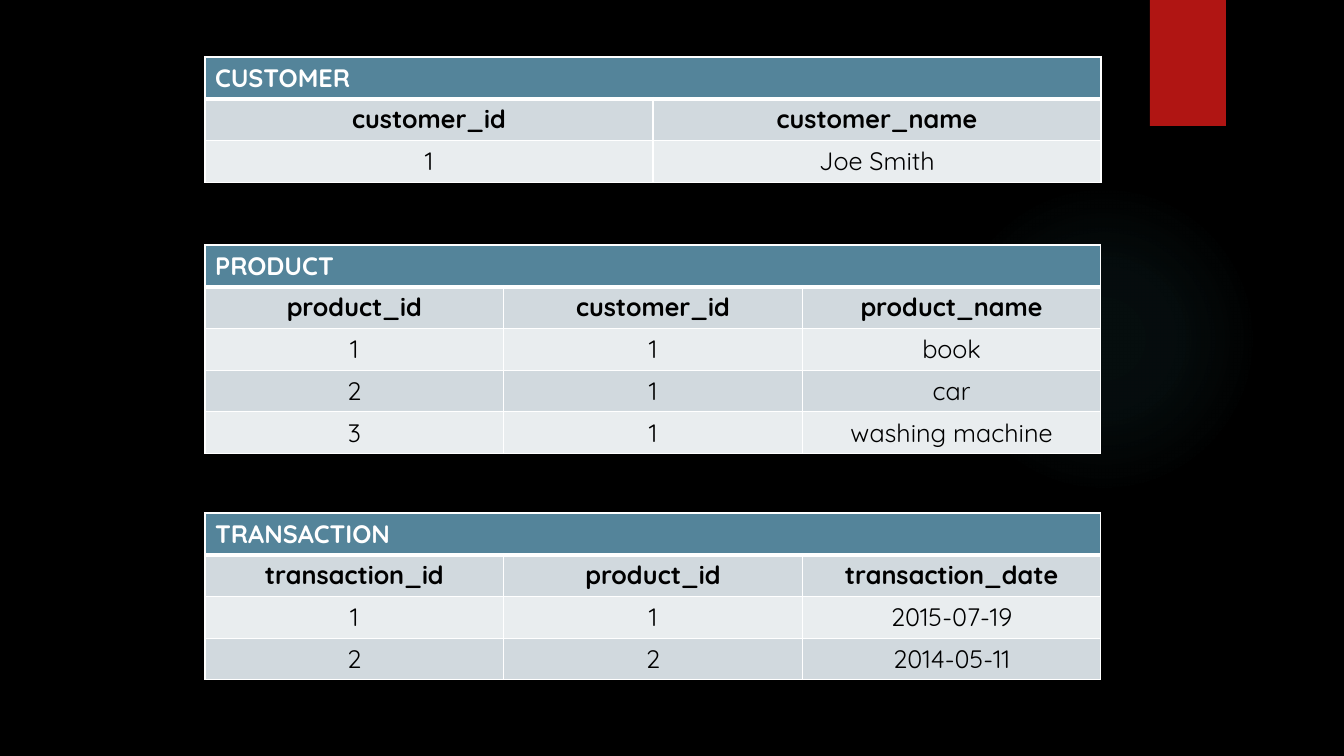
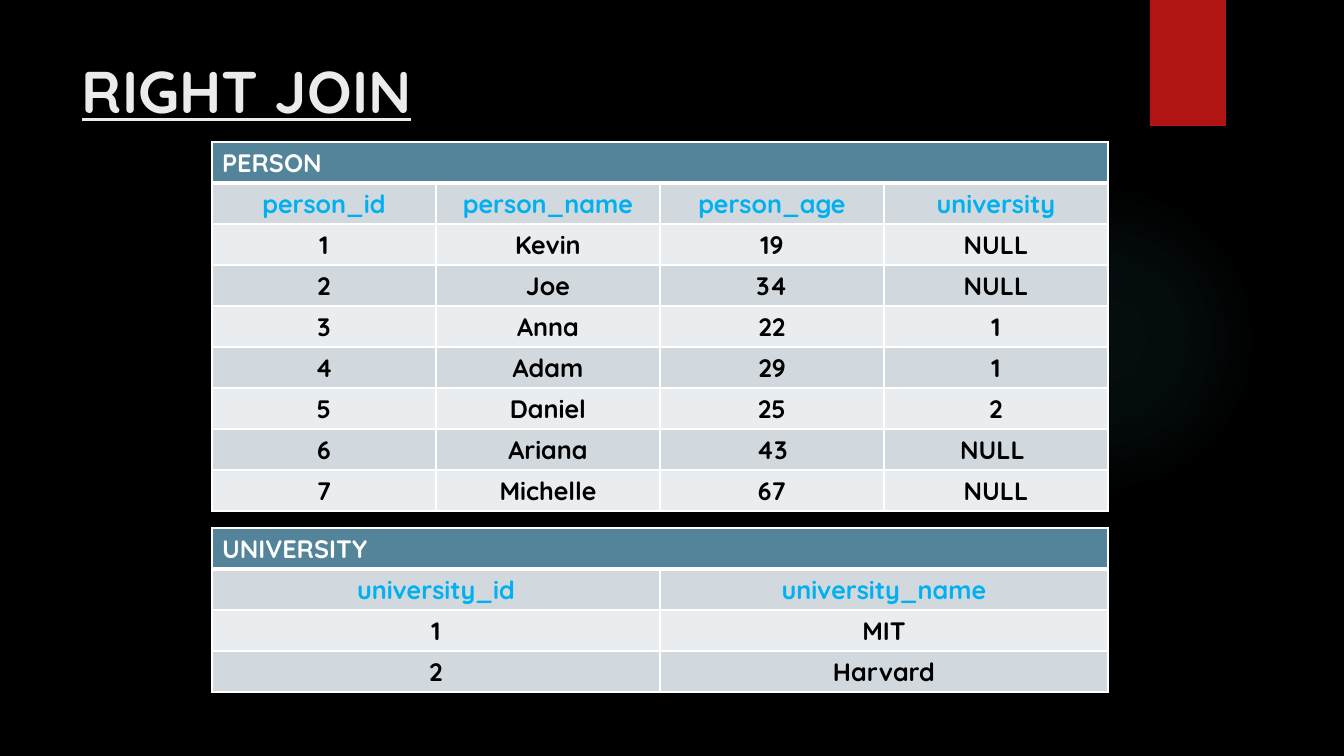
from lxml.etree import SubElement
from pptx import Presentation
from pptx.dml.color import RGBColor
from pptx.enum.shapes import MSO_SHAPE
from pptx.enum.text import MSO_ANCHOR, PP_ALIGN
from pptx.oxml import parse_xml
from pptx.oxml.ns import nsdecls, qn
from pptx.util import Pt

SLIDE_WIDTH, SLIDE_HEIGHT = 1344, 756
SCALE = 12192000 / SLIDE_WIDTH
FONT = "Quicksand"
BLACK, WHITE = "000000", "FFFFFF"
TITLE_COLOR = "EBEBEB"
RIBBON_RED = "B01513"
GLOW_TEAL = "50B9C1"
HEADER_BLUE = "54849A"
BANDS = ("D1D9DE", "E9EDEF")
COLUMN_CYAN = "00B0F0"
TABLE_WIDTH, ROW_HEIGHT = 896, 41


def px(length):
    return round(length * SCALE)


def color(value):
    return RGBColor.from_string(value)


def place(left, top, width, height):
    return px(left), px(top), px(width), px(height)


def style_font(para, size, value, bold=True):
    font = para.font
    font.name, font.size, font.bold = FONT, Pt(size), bold
    font.color.rgb = color(value)


def add_glow(page, left, top, size):
    glow = page.shapes.add_shape(MSO_SHAPE.OVAL, *place(left, top, size, size))
    glow.shadow.inherit = False
    glow.line.fill.background()
    glow.fill.background()
    stops = "".join(
        f'<a:gs pos="{position * 1000}"><a:srgbClr val="{GLOW_TEAL}">'
        f'<a:alpha val="{alpha * 1000}"/></a:srgbClr></a:gs>'
        for position, alpha in ((0, 7), (36, 6), (69, 0))
    )
    gradient = parse_xml(
        f'<a:gradFill {nsdecls("a")}><a:gsLst>{stops}</a:gsLst><a:path path="circle">'
        '<a:fillToRect l="50000" t="50000" r="50000" b="50000"/></a:path></a:gradFill>'
    )
    properties = glow._element.spPr
    properties.replace(properties.find(qn("a:noFill")), gradient)


def add_ribbon(page, left, top, width, height):
    ribbon = page.shapes.add_shape(MSO_SHAPE.RECTANGLE, *place(left, top, width, height))
    ribbon.shadow.inherit = False
    ribbon.fill.solid()
    ribbon.fill.fore_color.rgb = color(RIBBON_RED)
    ribbon.line.fill.background()
    effects = ribbon._element.spPr.find(qn("a:effectLst"))
    effects.append(parse_xml(
        f'<a:outerShdw {nsdecls("a")} blurRad="{Pt(3)}" dist="{Pt(2)}" dir="5400000" '
        f'rotWithShape="0"><a:srgbClr val="{BLACK}"><a:alpha val="45000"/></a:srgbClr></a:outerShdw>'
    ))


def add_page(deck):
    page = deck.slides.add_slide(deck.slide_layouts[6])
    page.background.fill.solid()
    page.background.fill.fore_color.rgb = color(BLACK)
    add_glow(page, 949, 184, 310)
    add_ribbon(page, 1150, 0, 76, 126)
    return page


def add_title(page, text, left, top, width, height):
    box = page.shapes.add_textbox(*place(left, top, width, height))
    box.text_frame.word_wrap = True
    box.text_frame.vertical_anchor = MSO_ANCHOR.TOP
    para = box.text_frame.paragraphs[0]
    para.text = text
    style_font(para, 42, TITLE_COLOR)
    para.font.underline = True


def set_borders(cell, top, bottom):
    properties = cell._tc.get_or_add_tcPr()
    for side, width in (("L", 1), ("R", 1), ("T", top), ("B", bottom)):
        line = SubElement(properties, qn(f"a:ln{side}"), w=str(Pt(width)))
        fill = SubElement(line, qn("a:solidFill"))
        SubElement(fill, qn("a:srgbClr"), val=WHITE)


def fill_cell(cell, text, row, text_color, bold):
    set_borders(cell, 3 if row == 1 else 1, 3 if row == 0 else 1)
    cell.fill.solid()
    cell.fill.fore_color.rgb = color(BANDS[(row - 1) % 2] if row else HEADER_BLUE)
    para = cell.text_frame.paragraphs[0]
    para.text = text
    para.alignment = PP_ALIGN.CENTER if row else PP_ALIGN.LEFT
    style_font(para, 18, text_color, bold)


def add_entity(page, left, top, name, columns, records, column_color=BLACK, bold_records=False):
    count = len(columns)
    rows = [[name] + [""] * (count - 1), columns, *records]
    frame = page.shapes.add_table(
        len(rows), count, *place(left, top, TABLE_WIDTH, ROW_HEIGHT * len(rows)))
    table = frame.table
    table.first_row = table.horz_banding = False
    for column in table.columns:
        column.width = px(TABLE_WIDTH / count)
    for row, values in enumerate(rows):
        text_color = {0: WHITE, 1: column_color}.get(row, BLACK)
        for index, text in enumerate(values):
            fill_cell(table.cell(row, index), text, row, text_color, row < 2 or bold_records)
    table.cell(0, 0).merge(table.cell(0, count - 1))


def build_schema_page(deck):
    page = add_page(deck)
    left = 205
    add_entity(page, left, 57, "CUSTOMER", ["customer_id", "customer_name"],
               [["1", "Joe Smith"]])
    add_entity(page, left, 245, "PRODUCT", ["product_id", "customer_id", "product_name"],
               [["1", "1", "book"], ["2", "1", "car"], ["3", "1", "washing machine"]])
    add_entity(page, left, 513, "TRANSACTION",
               ["transaction_id", "product_id", "transaction_date"],
               [["1", "1", "2015-07-19"], ["2", "2", "2014-05-11"]])


def build_join_page(deck):
    page = add_page(deck)
    add_title(page, "RIGHT JOIN", 72, 50, 1037, 154)
    left = 212
    people = [
        ["1", "Kevin", "19", "NULL"],
        ["2", "Joe", "34", "NULL"],
        ["3", "Anna", "22", "1"],
        ["4", "Adam", "29", "1"],
        ["5", "Daniel", "25", "2"],
        ["6", "Ariana", "43", "NULL "],
        ["7", "Michelle", "67", "NULL"],
    ]
    add_entity(page, left, 142, "PERSON",
               ["person_id", "person_name", "person_age", "university"],
               people, COLUMN_CYAN, True)
    add_entity(page, left, 528, "UNIVERSITY", ["university_id", "university_name"],
               [["1", "MIT"], ["2", "Harvard"]], COLUMN_CYAN, True)


def main():
    deck = Presentation()
    deck.slide_width, deck.slide_height = px(SLIDE_WIDTH), px(SLIDE_HEIGHT)
    build_schema_page(deck)
    build_join_page(deck)
    deck.save("out.pptx")


if __name__ == "__main__":
    main()
